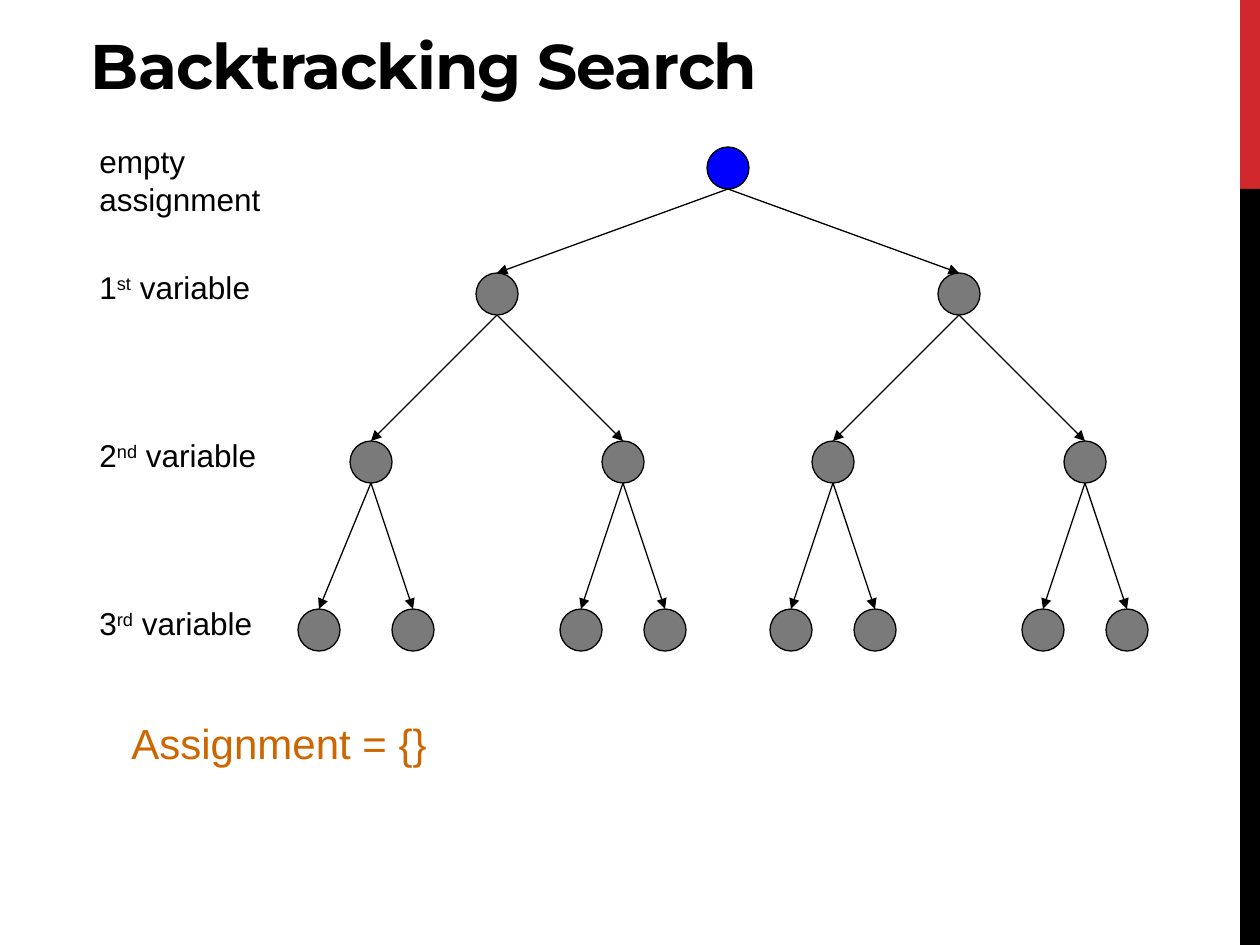
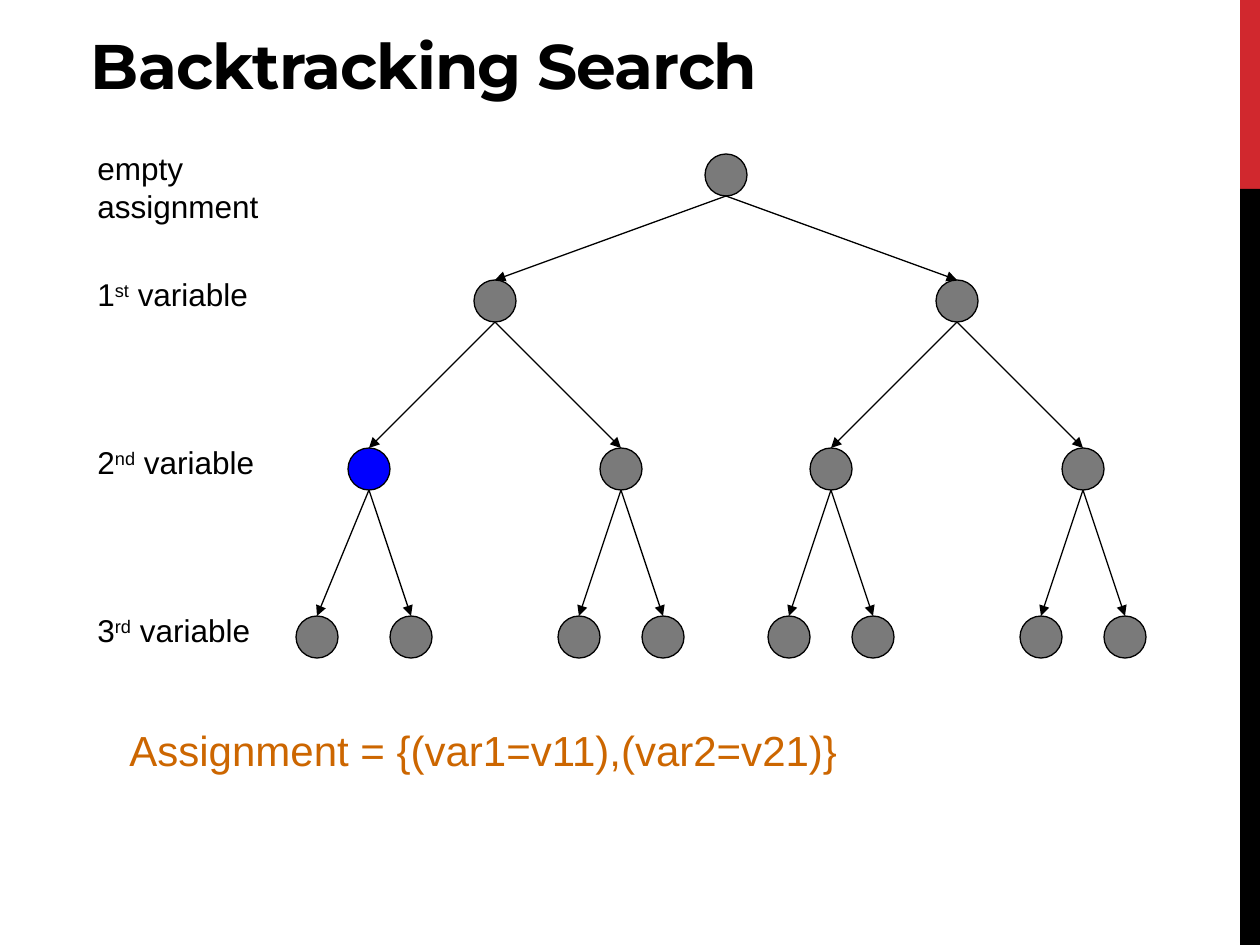
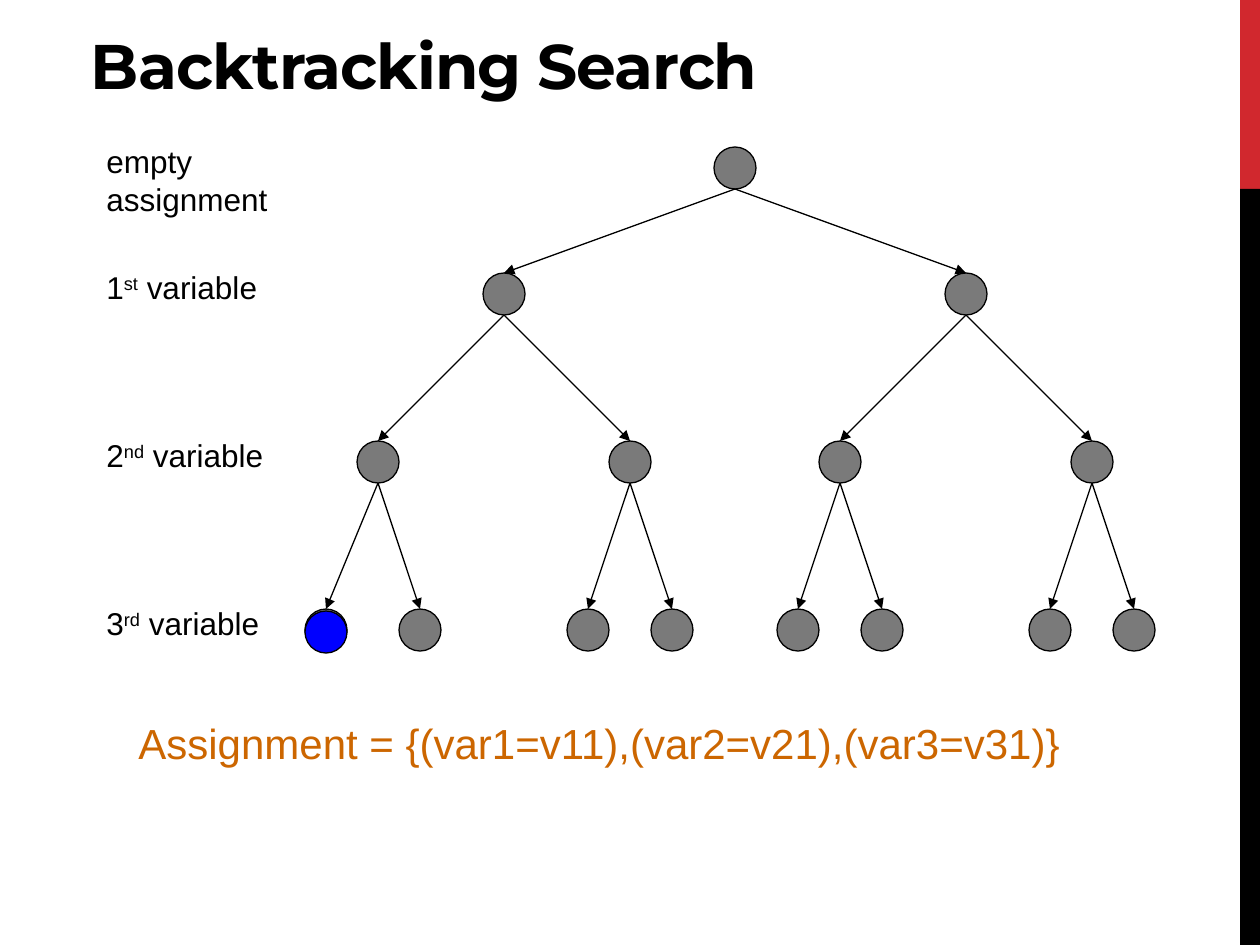
from dataclasses import dataclass

from pptx import Presentation
from pptx.dml.color import RGBColor
from pptx.enum.shapes import MSO_CONNECTOR, MSO_SHAPE
from pptx.enum.text import MSO_ANCHOR, MSO_AUTO_SIZE, PP_ALIGN
from pptx.oxml.ns import qn
from pptx.util import Emu, Pt
from lxml.etree import SubElement

TITLE_ONLY = 5
TOP = 0


@dataclass(frozen=True)
class Theme:
    ink: str = "000000"
    red: str = "D1282E"
    node: str = "7A7A7A"
    current: str = "0000FF"
    assignment: str = "CC6600"
    title_font: str = "Montserrat"
    text_font: str = "Arial"
    title_size: int = 36
    label_size: int = 18
    assignment_size: int = 24
    line_width: float = 0.75


def px(length):
    """Turn pixels, 126 to the inch, into EMU."""
    return Emu(round(length * 914400 / 126))


class SlideBuilder:
    def __init__(self, theme):
        self.theme = theme
        self.deck = Presentation()
        self.deck.slide_width, self.deck.slide_height = px(1260), px(945)
        self.page = None

    def new_page(self, title):
        self.page = self.deck.slides.add_slide(self.deck.slide_layouts[TITLE_ONLY])
        self.shape(MSO_SHAPE.RECTANGLE, 1240, 0, 20, 189, self.theme.red)
        self.shape(MSO_SHAPE.RECTANGLE, 1240, 189, 20, 756, self.theme.ink)
        self.title(title)

    def title(self, text):
        box = self.page.shapes.title
        box.left, box.top, box.width, box.height = px(63), px(21), px(1106), px(83)
        frame = box.text_frame
        frame.text = text
        frame.auto_size = MSO_AUTO_SIZE.NONE
        frame.vertical_anchor = MSO_ANCHOR.BOTTOM
        frame.margin_left, frame.margin_bottom = px(28), px(2)
        para = frame.paragraphs[0]
        para.alignment = PP_ALIGN.LEFT
        self.style(para, self.theme.title_font, self.theme.title_size, self.theme.ink)
        para.font.bold = True
        for span in para.runs:
            span._r.get_or_add_rPr().set("spc", "-60")

    def style(self, para, font, size, color):
        para.font.name = font
        para.font.size = Pt(size)
        para.font.color.rgb = RGBColor.from_string(color)

    def shape(self, kind, left, top, width, height, fill, outline=None):
        shape = self.page.shapes.add_shape(kind, px(left), px(top), px(width), px(height))
        shape.shadow.inherit = False
        shape.fill.solid()
        shape.fill.fore_color.rgb = RGBColor.from_string(fill)
        if outline:
            shape.line.color.rgb = RGBColor.from_string(outline)
            shape.line.width = Pt(self.theme.line_width)
        else:
            shape.line.fill.background()
        return shape

    def node(self, center, top, fill):
        return self.shape(MSO_SHAPE.OVAL, center - NODE_SIZE // 2, top,
                          NODE_SIZE, NODE_SIZE, fill, self.theme.ink)

    def arrow(self, parent, child):
        """Draw an arrow from the bottom of one node to the top of another."""
        start_x, start_y = parent.left + parent.width // 2, parent.top + parent.height
        arrow = self.page.shapes.add_connector(
            MSO_CONNECTOR.STRAIGHT, start_x, start_y, child.left, child.top)
        arrow.end_connect(child, TOP)
        arrow.line.color.rgb = RGBColor.from_string(self.theme.ink)
        arrow.line.width = Pt(self.theme.line_width)
        SubElement(arrow.line._get_or_add_ln(), qn("a:tailEnd"), type="triangle")
        SubElement(arrow._element.spPr, qn("a:effectLst"))

    def text(self, spans, left, top, width, height, size, color, wrap=False):
        """Write one paragraph; every second span is raised."""
        box = self.page.shapes.add_textbox(px(left), px(top), px(width), px(height))
        frame = box.text_frame
        frame.word_wrap = wrap
        frame.auto_size = MSO_AUTO_SIZE.SHAPE_TO_FIT_TEXT
        para = frame.paragraphs[0]
        for index, words in enumerate(spans):
            span = para.add_run()
            span.text = words
            if index % 2:
                span._r.get_or_add_rPr().set("baseline", "30000")
        self.style(para, self.theme.text_font, size, color)


# Search tree: level tops below the root, and child offsets from each parent
NODE_SIZE = 42
LEVEL_TOPS = (0, 126, 294, 462)
CHILD_OFFSETS = (
    [(-231, 231)],
    [(-126, 126)] * 2,
    [(-52, 42)] + [(-42, 42)] * 3,
)
# Level labels: spans, box width, whether the words wrap
LABELS = (
    (("empty assignment",), 270, True),
    (("1", "st", " variable"), 178, False),
    (("2", "nd", " variable"), 185, False),
    (("3", "rd", " variable"), 180, False),
)


def draw_tree(builder, root_x, root_y, current):
    """Draw the tree with the node at current (level, index) highlighted."""
    theme = builder.theme
    centers, parents = [root_x], []
    for level, level_top in enumerate(LEVEL_TOPS):
        if level:
            centers = [center + offset
                       for center, offsets in zip(centers, CHILD_OFFSETS[level - 1])
                       for offset in offsets]
        nodes = [
            builder.node(center, root_y + level_top,
                         theme.current if (level, index) == current else theme.node)
            for index, center in enumerate(centers)
        ]
        for index, child in enumerate(nodes if parents else []):
            builder.arrow(parents[index // 2], child)
        parents = nodes
        spans, width, wrap = LABELS[level]
        builder.text(spans, root_x - 641, root_y + level_top - 11, width, 50,
                     theme.label_size, theme.ink, wrap)


def draw_step(builder, root_x, root_y, current, assignment, width):
    builder.new_page("Backtracking Search")
    draw_tree(builder, root_x, root_y, current)
    builder.text((f"Assignment = {assignment}",), root_x - 609, root_y + 564, width, 63,
                 builder.theme.assignment_size, builder.theme.assignment)


def main():
    builder = SlideBuilder(Theme())

    # Empty assignment, then two variables assigned
    draw_step(builder, 728, 147, (0, 0), "{}", 336)
    draw_step(builder, 726, 154, (2, 0), "{(var1=v11),(var2=v21)}", 771)

    # All three assigned: the marker lies slightly below the first leaf
    draw_step(builder, 735, 147, None, "{(var1=v11),(var2=v21),(var3=v31)}", 995)
    builder.node(326, 611, builder.theme.current)

    builder.deck.save("out.pptx")


if __name__ == "__main__":
    main()
